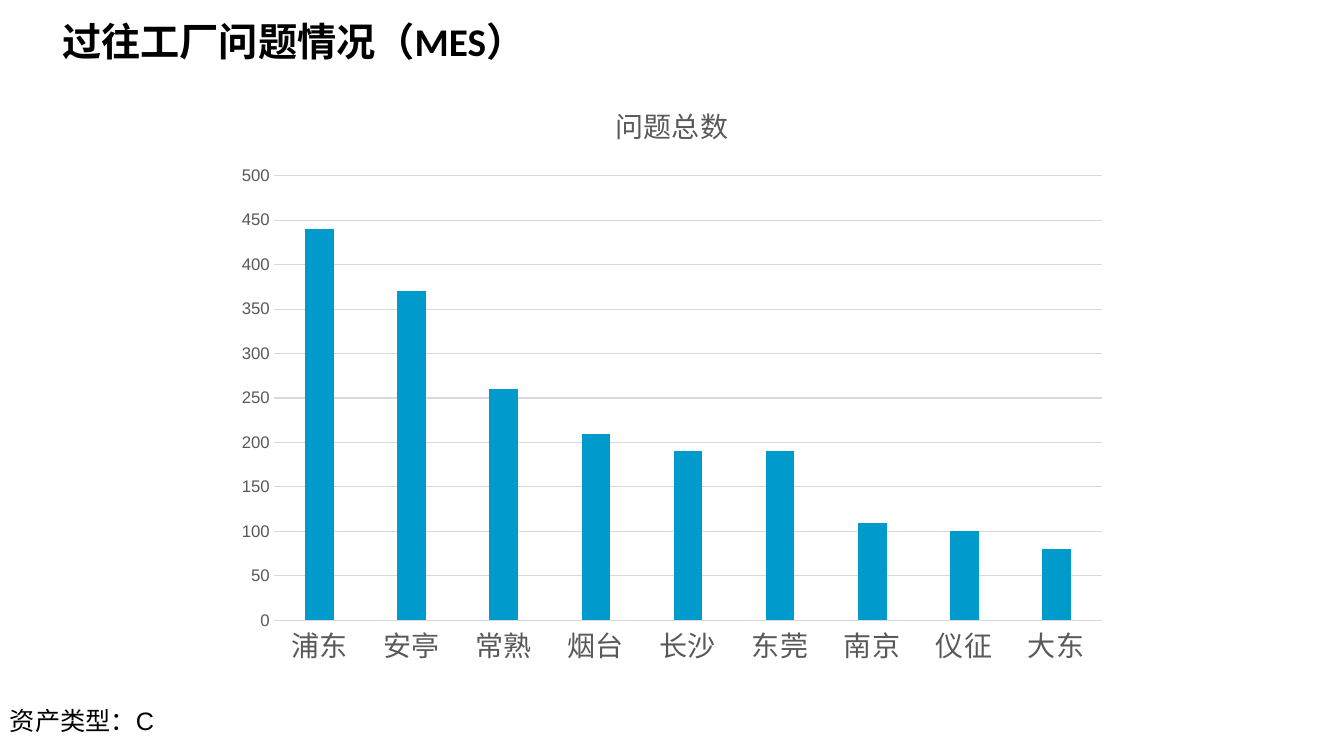
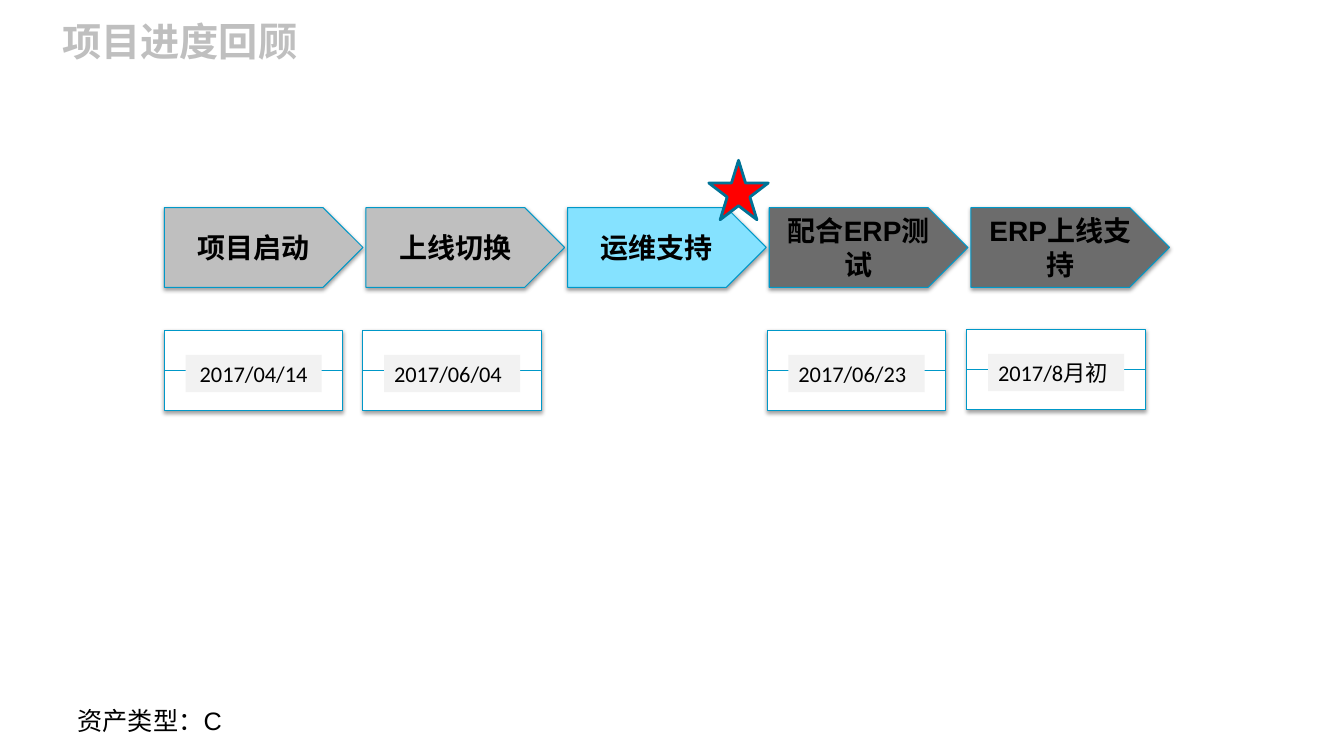
from lxml import etree
from pptx import Presentation
from pptx.chart import data as chart_data
from pptx.dml import color
from pptx.enum import chart as chart_enum, shapes, text
from pptx.oxml import ns
from pptx.util import Inches, Pt

BLACK, WHITE, RED = "000000", "FFFFFF", "FF0000"
ACCENT, BAR_BLUE, STAR_EDGE = "0098C8", "009BCC", "007397"
DONE, CURRENT, UPCOMING = "BFBFBF", "85E2FF", "6C6C6C"
LABEL_GREY, AXIS_GREY, GRID_GREY = "F2F2F2", "595959", "D9D9D9"
CJK = "Noto Sans CJK SC"

STAGE_LEFT, STAGE_TOP, STAGE_PITCH = 1.63, 2.06, 2
STAGE_WIDTH, DATE_WIDTH, ROW_HEIGHT = 1.97, 1.77, 0.79
LABEL_WIDTH, LABEL_HEIGHT, LABEL_DROP = 1.35, 0.37, 0.24

STAGES = [
    ("项目启动", DONE),
    ("上线切换", DONE),
    ("运维支持", CURRENT),
    ("配合ERP测试", UPCOMING),
    ("ERP上线支持", UPCOMING),
]
DATES = [
    ("2017/04/14", 1.63, 3.28, text.PP_ALIGN.CENTER),
    ("2017/06/04", 3.6, 3.28, text.PP_ALIGN.LEFT),
    ("2017/06/23", 7.61, 3.28, text.PP_ALIGN.LEFT),
    ("2017/8月初", 9.59, 3.27, text.PP_ALIGN.LEFT),
]
PLANT_ISSUES = {
    "浦东": 440, "安亭": 370, "常熟": 260, "烟台": 210, "长沙": 190,
    "东莞": 190, "南京": 110, "仪征": 100, "大东": 80,
}


def rgb(value):
    return color.RGBColor.from_string(value)


def set_fill(target, value):
    target.fill.solid()
    target.fill.fore_color.rgb = rgb(value)


def set_line(line, value, width=0.75):
    line.color.rgb = rgb(value)
    line.width = Pt(width)


def style_font(font, size, name, value=BLACK, bold=False):
    font.size = Pt(size)
    font.name = name
    font.bold = bold
    font.color.rgb = rgb(value)
    font._element.find(ns.qn("a:latin")).addnext(
        etree.Element(ns.qn("a:ea"), typeface=CJK))


def write(frame, words, size, name, value=BLACK, bold=False,
          align=text.PP_ALIGN.LEFT):
    frame.text = words
    frame.word_wrap = True
    paragraph = frame.paragraphs[0]
    paragraph.alignment = align
    style_font(paragraph.runs[0].font, size, name, value, bold)


def add_text(slide, words, box, size, name, value=BLACK, bold=False):
    frame = slide.shapes.add_textbox(*map(Inches, box)).text_frame
    write(frame, words, size, name, value, bold)
    return frame


def add_effects(target):
    return etree.SubElement(target.element.spPr, ns.qn("a:effectLst"))


def add_soft_shadow(target):
    shadow = etree.SubElement(
        add_effects(target), ns.qn("a:outerShdw"), blurRad=str(Pt(3.1)),
        dist=str(Pt(1.6)), dir="5400000", rotWithShape="0")
    tint = etree.SubElement(shadow, ns.qn("a:srgbClr"), val=BLACK)
    etree.SubElement(tint, ns.qn("a:alpha"), val="38000")


def add_block(parent, kind, box, fill, edge=None, width=0.75, shadow=False):
    block = parent.shapes.add_shape(kind, *map(Inches, box))
    set_fill(block, fill)
    if edge:
        set_line(block.line, edge, width)
    else:
        block.line.fill.background()
    if shadow:
        add_soft_shadow(block)
    else:
        block.shadow.inherit = False
    return block


def add_slide(deck, title, title_colour, footer_left):
    slide = deck.slides.add_slide(deck.slide_layouts[6])
    heading = add_text(slide, title, (0.52, 0.12, 9.98, 0.57), 28, "Calibri",
                       title_colour, True)
    heading.auto_size = text.MSO_AUTO_SIZE.SHAPE_TO_FIT_TEXT
    add_text(slide, "资产类型：C", (footer_left, 6.95, 3.11, 0.4), 18, "Arial")
    return slide


def add_issue_chart(slide):
    issues = chart_data.CategoryChartData()
    issues.categories = list(PLANT_ISSUES)
    issues.add_series("问题总数", list(PLANT_ISSUES.values()))
    chart = slide.shapes.add_chart(
        chart_enum.XL_CHART_TYPE.COLUMN_CLUSTERED,
        *map(Inches, (2.22, 0.79, 8.89, 5.93)), issues).chart
    style_font(chart.font, 10, "Arial")
    chart.has_legend = False
    chart.has_title = True
    write(chart.chart_title.text_frame, "问题总数", 20, CJK, AXIS_GREY,
          align=text.PP_ALIGN.CENTER)
    chart.chart_title.include_in_layout = False

    plot = chart.plots[0]
    plot.gap_width, plot.overlap = 219, -27
    plot.vary_by_categories = False
    set_fill(plot.series[0].format, BAR_BLUE)

    plants, counts = chart.category_axis, chart.value_axis
    for axis, size, name in ((plants, 20, CJK), (counts, 12, "Arial")):
        axis.major_tick_mark = chart_enum.XL_TICK_MARK.NONE
        axis.minor_tick_mark = chart_enum.XL_TICK_MARK.NONE
        style_font(axis.tick_labels.font, size, name, AXIS_GREY)
    set_line(plants.format.line, GRID_GREY)
    counts.format.line.fill.background()
    counts.minimum_scale, counts.maximum_scale, counts.major_unit = 0, 500, 50
    set_line(counts.major_gridlines.format.line, GRID_GREY)


def add_stage(slide, index, words, fill):
    left = STAGE_LEFT + index * STAGE_PITCH
    stage = add_block(slide, shapes.MSO_SHAPE.PENTAGON,
                      (left, STAGE_TOP, STAGE_WIDTH, ROW_HEIGHT),
                      fill, ACCENT, shadow=True)
    stage.text_frame.vertical_anchor = text.MSO_ANCHOR.MIDDLE
    write(stage.text_frame, words, 20, "Arial", bold=True,
          align=text.PP_ALIGN.CENTER)


def add_date(slide, words, left, top, align):
    group = slide.shapes.add_group_shape()
    card = add_block(group, shapes.MSO_SHAPE.RECTANGLE,
                     (left, top, DATE_WIDTH, ROW_HEIGHT),
                     WHITE, ACCENT, shadow=True)
    middle = top + ROW_HEIGHT / 2
    rule = group.shapes.add_connector(
        shapes.MSO_CONNECTOR.STRAIGHT,
        *map(Inches, (left, middle, left + DATE_WIDTH, middle)))
    rule.begin_connect(card, 1)
    rule.end_connect(card, 3)
    set_line(rule.line, ACCENT)
    add_effects(rule)
    label_left = left + (DATE_WIDTH - LABEL_WIDTH) / 2
    label = add_block(group, shapes.MSO_SHAPE.RECTANGLE,
                      (label_left, top + LABEL_DROP, LABEL_WIDTH, LABEL_HEIGHT),
                      LABEL_GREY)
    label.text_frame.vertical_anchor = text.MSO_ANCHOR.TOP
    write(label.text_frame, words, 16, "Calibri", align=align)
    label.text_frame.auto_size = text.MSO_AUTO_SIZE.SHAPE_TO_FIT_TEXT


def main():
    deck = Presentation()
    deck.slide_width, deck.slide_height = Inches(13.33), Inches(7.5)

    issues = add_slide(deck, "过往工厂问题情况（MES）", BLACK, 0)
    add_issue_chart(issues)

    progress = add_slide(deck, "项目进度回顾", DONE, 0.67)
    for index, (words, fill) in enumerate(STAGES):
        add_stage(progress, index, words, fill)
    for date in DATES:
        add_date(progress, *date)
    add_block(progress, shapes.MSO_SHAPE.STAR_5_POINT,
              (7.03, 1.59, 0.59, 0.59), RED, STAR_EDGE, 2)

    deck.save("out.pptx")


if __name__ == "__main__":
    main()
